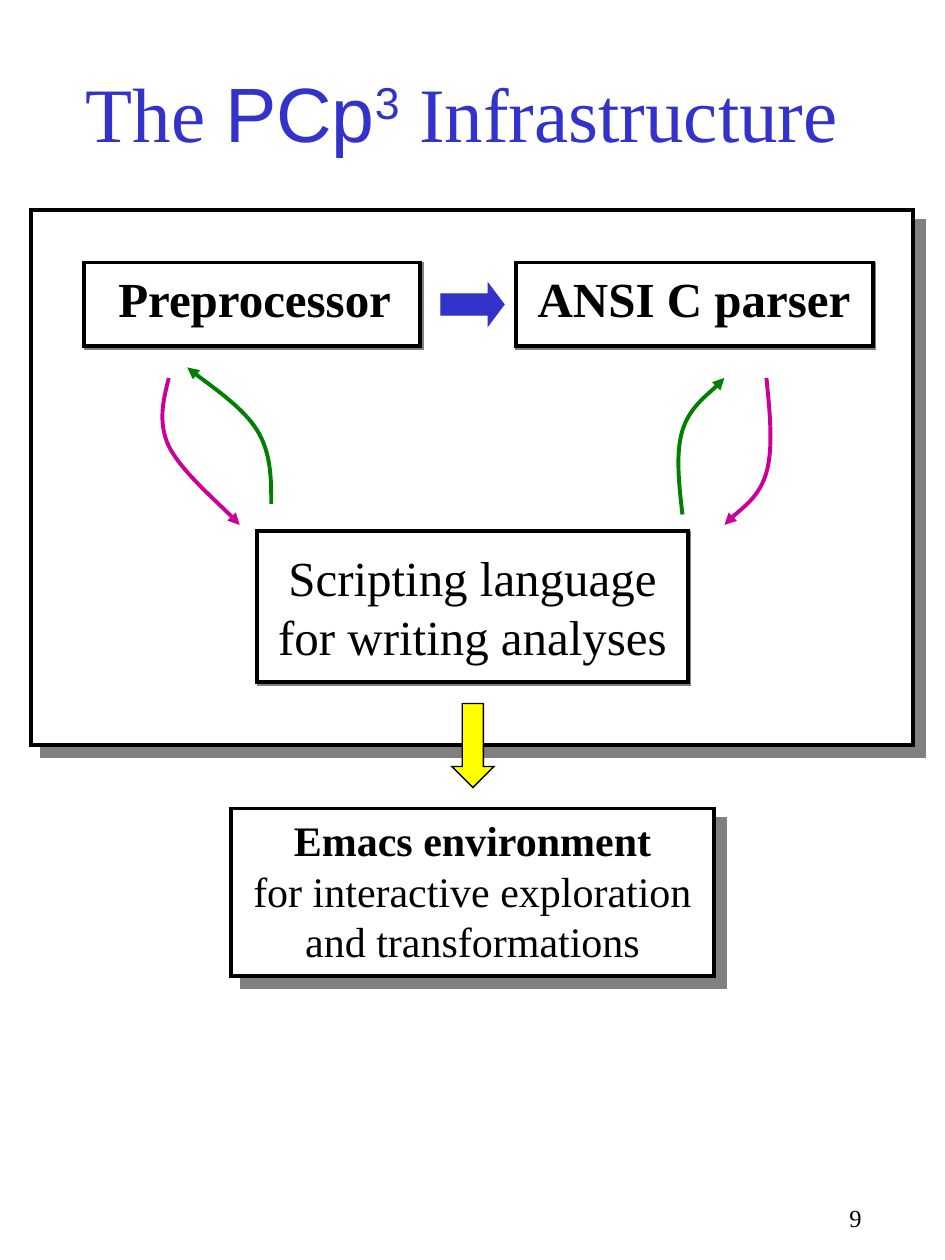
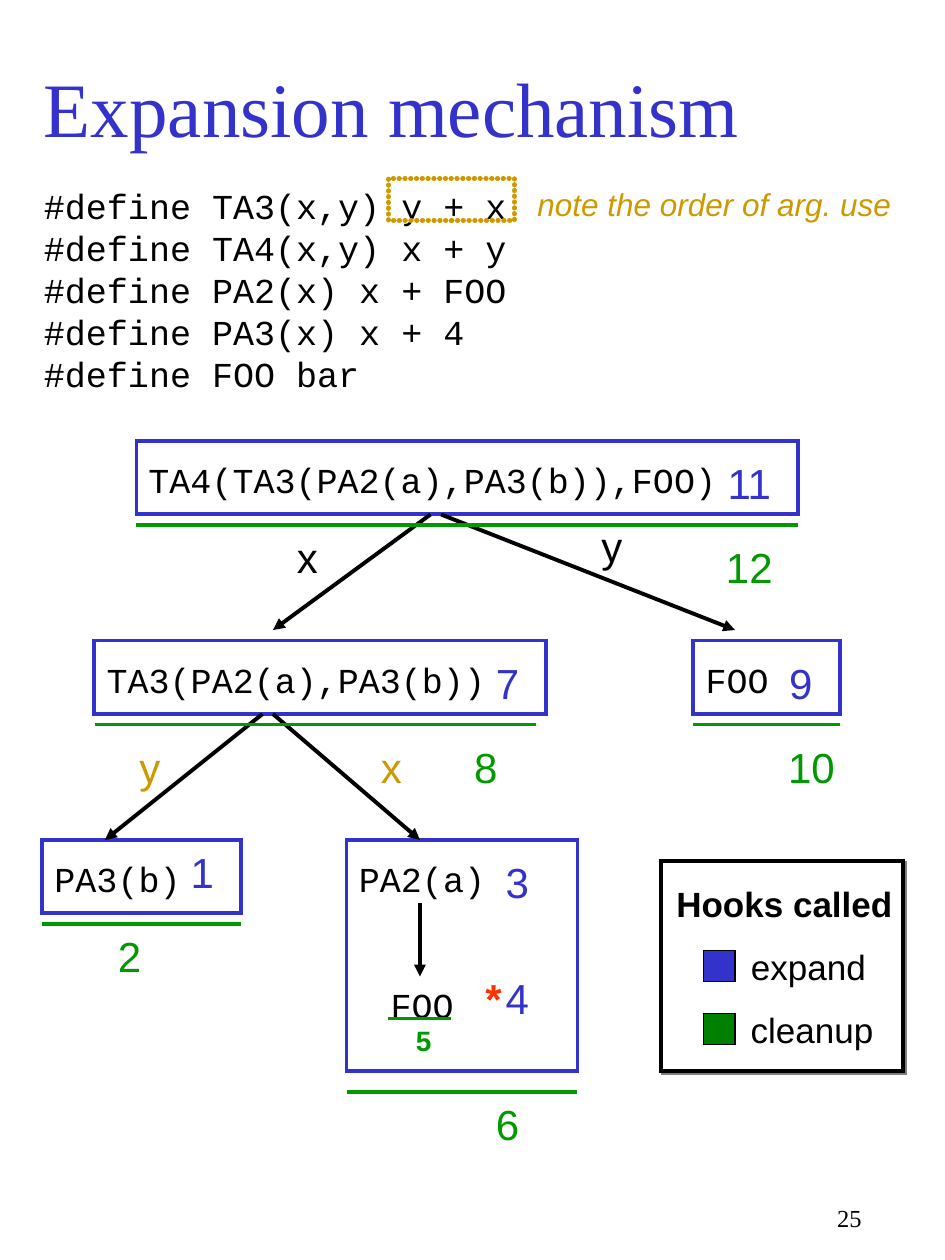
import pptx
import pptx.util
import pptx.dml.color
import pptx.enum.shapes
import pptx.enum.text
import pptx.oxml.ns
from lxml import etree

Pt = pptx.util.Pt
RGB = pptx.dml.color.RGBColor.from_string
qn = pptx.oxml.ns.qn
SHAPE = pptx.enum.shapes.MSO_SHAPE
ALIGN = pptx.enum.text.PP_ALIGN
ANCHOR = pptx.enum.text.MSO_ANCHOR


class Theme:
    white, black, shadow = "FFFFFF", "000000", "808080"
    blue, green, dark_green = "3333CC", "009900", "008000"
    gold, magenta, yellow, red = "CC9900", "CC0099", "FFFF00", "FF3300"
    serif, sans, mono = "Times New Roman", "Arial", "Courier New"
    title, heading, label, code, note, small, number = 44, 28, 24, 20, 18, 16, 14
    thin, outline, dotted = 0.75, 2.25, 3
    near_shadow, far_shadow = 1.4, 8.5


def add_box(s, box, fill=Theme.white, line=Theme.black, width=Theme.outline,
            shadow=0, shape=SHAPE.RECTANGLE):
    """Add a preset shape; shadow is its distance down and to the right."""
    sp = s.shapes.add_shape(shape, *map(Pt, box))
    if fill:
        sp.fill.solid()
        sp.fill.fore_color.rgb = RGB(fill)
    else:
        sp.fill.background()
    sp.line.color.rgb = RGB(line)
    sp.line.width = Pt(width)
    etree.SubElement(sp._element.spPr.find(qn("a:ln")), qn("a:miter"), lim="800000")
    sp.shadow.inherit = False
    if shadow:
        effects = sp._element.spPr.find(qn("a:effectLst"))
        outer = etree.SubElement(effects, qn("a:outerShdw"), dist=str(Pt(shadow)),
                                 dir="2700000", algn="ctr", rotWithShape="0")
        etree.SubElement(outer, qn("a:srgbClr"), val=Theme.shadow)
    return sp


def add_text(s, box, paragraphs, size, name, color=Theme.black, align=ALIGN.CENTER,
             wrap=False, anchor=ANCHOR.MIDDLE, **style):
    """Add a text box; each paragraph is a list of (text, font overrides) runs."""
    tf = s.shapes.add_textbox(*map(Pt, box)).text_frame
    tf.word_wrap = wrap
    tf.vertical_anchor = anchor
    if not wrap:
        tf.auto_size = pptx.enum.text.MSO_AUTO_SIZE.SHAPE_TO_FIT_TEXT
        if align == ALIGN.CENTER:
            # Spare room on both sides keeps a label on one line
            tf.margin_left = tf.margin_right = Pt(2)
    for i, runs in enumerate(paragraphs):
        p = tf.paragraphs[0] if i == 0 else tf.add_paragraph()
        p.alignment = align
        for text, overrides in runs:
            r = p.add_run()
            r.text = text
            r.font.size = Pt(size)
            r.font.color.rgb = RGB(color)
            for key, value in {"name": name, **style, **overrides}.items():
                setattr(r.font, key, value)
    return tf


prs = pptx.Presentation()
prs.slide_width, prs.slide_height = Pt(540), Pt(720)

# Titles and page numbers
sans = {"name": Theme.sans}
slides, titles = [], []
for box, runs, number in [
    ((42, 36, 459, 56),
     [("The ", {}), ("PCp", sans), ("3", sans), (" Infrastructure", {})], "9"),
    ((18, 30, 459, 62), [("Expansion mechanism", {})], "25"),
]:
    s = prs.slides.add_slide(prs.slide_layouts[6])
    titles.append(add_text(s, box, [runs], Theme.title, Theme.serif, Theme.blue,
                           ALIGN.LEFT, wrap=True))
    add_text(s, (387.5, 684, 112, 20), [[(number, {})]], Theme.number, Theme.serif,
             align=ALIGN.RIGHT, wrap=True, anchor=ANCHOR.TOP)
    slides.append(s)
titles[0].paragraphs[0].runs[2]._r.get_or_add_rPr().set("baseline", "30000")
infrastructure, expansion = slides

# Infrastructure: components
s = infrastructure
for box, shadow in [
    ((18, 120, 504, 306), Theme.far_shadow),
    ((132.2, 462, 276, 96), Theme.far_shadow),
    ((48, 150, 192, 48), Theme.near_shadow),
    ((294.7, 150, 204, 48), Theme.near_shadow),
    ((147, 303.6, 246, 86.4), Theme.near_shadow),
]:
    add_box(s, box, shadow=shadow)

bold = {"bold": True}
for box, paragraphs, size, wrap in [
    ((60, 150, 171, 41), [[("Preprocessor", bold)]], Theme.heading, False),
    ((300, 150, 193, 41), [[("ANSI C parser", bold)]], Theme.heading, False),
    ((147.5, 309, 245, 75), [[("Scripting language for writing analyses", {})]],
     Theme.heading, True),
    ((137.5, 462, 265, 93.5),
     [[("Emacs environment", bold)], [("for interactive exploration", {})],
      [("and transformations", {})]], Theme.label, False),
]:
    add_text(s, box, paragraphs, size, Theme.serif, wrap=wrap)

# Infrastructure: flow between components
to_parser = add_box(s, (252, 162, 36, 24), Theme.blue, Theme.blue, Theme.thin,
                    shape=SHAPE.RIGHT_ARROW)
to_parser.adjustments[1] = 0.375
add_box(s, (258.2, 402, 24, 48), Theme.yellow, width=Theme.thin, shape=SHAPE.DOWN_ARROW)

arrows = []
for color, points in [
    (Theme.magenta, [(96.5, 216), (93.5, 228), (90, 241), (96.5, 255),
                     (103.5, 269), (130, 292), (137, 300)]),
    (Theme.dark_green, [(155, 288), (155, 274), (155, 259), (147, 246),
                        (139, 233), (114, 216), (107, 210)]),
    (Theme.dark_green, [(390, 294), (388, 276.5), (386, 259), (390, 246),
                        (394, 233), (410, 221), (414, 216)]),
    (Theme.magenta, [(438, 216), (440, 236), (442, 256), (438, 270),
                     (434, 284), (418, 295), (414, 300)]),
]:
    start, *rest = [(Pt(x), Pt(y)) for x, y in points]
    builder = s.shapes.build_freeform(*start)
    builder.add_line_segments(rest, close=False)
    sp = builder.convert_to_shape()
    # Each three segments become one Bézier curve
    segments = list(sp._element.iter(qn("a:lnTo")))
    outline = segments[0].getparent()
    for i in range(0, len(segments), 3):
        curve = etree.SubElement(outline, qn("a:cubicBezTo"))
        for segment in segments[i:i + 3]:
            curve.append(segment[0])
            outline.remove(segment)
    sp.fill.background()
    sp.line.color.rgb = RGB(color)
    sp.line.width = Pt(Theme.outline)
    sp.shadow.inherit = False
    arrows.append(sp)

# Expansion: macro definitions
s = expansion
definitions = ["#define TA3(x,y) y + x", "#define TA4(x,y) x + y",
               "#define PA2(x) x + FOO", "#define PA3(x) x + 4", "#define FOO bar"]
add_text(s, (18, 102, 279, 127), [[(line, {})] for line in definitions],
         Theme.code, Theme.mono, align=ALIGN.LEFT)
dotted = add_box(s, (222, 102, 72, 24), None, Theme.gold, Theme.dotted)
border = dotted._element.spPr.find(qn("a:ln"))
border.set("cap", "rnd")
dash = etree.Element(qn("a:custDash"))
etree.SubElement(dash, qn("a:ds"), d="100000", sp="10000")
border.insert(1, dash)
add_text(s, (300, 102, 217, 29), [[("note the order of arg. use", {})]],
         Theme.note, Theme.sans, Theme.gold, ALIGN.LEFT, italic=True)

# Expansion: call tree
nodes = [
    ("TA3(PA2(a),PA3(b))", 54, 366, 258, 42),
    ("FOO", 396, 366, 84, 42),
    ("PA3(b)", 24, 480, 114, 42),
    ("PA2(a)", 198, 480, 132, 132),
    ("TA4(TA3(PA2(a),PA3(b)),FOO)", 78, 252, 378, 42),
]
for _, *box in nodes:
    add_box(s, box, line=Theme.blue)
codes = [(code, x, y + 6) for code, x, y, _, _ in nodes] + [("FOO", 216, 558)]
for code, x, y in codes:
    add_text(s, (x, y, 14.4 + 12 * len(code), 32), [[(code, {})]], Theme.code, Theme.mono)

calls = [(246, 294, 156, 360), (252, 294, 420, 360), (150, 408, 60, 480),
         (156, 408, 240, 480), (240, 516, 240, 558)]
underlines = [(78, 300, 456, 300), (54, 414, 306, 414), (396, 414, 480, 414),
              (24, 528, 138, 528), (198, 624, 330, 624), (222, 582, 258, 582)]
for ends in calls + underlines:
    line = s.shapes.add_connector(pptx.enum.shapes.MSO_CONNECTOR.STRAIGHT, *map(Pt, ends))
    line.line.color.rgb = RGB(Theme.black if ends in calls else Theme.green)
    line.line.width = Pt(Theme.outline)
    etree.SubElement(line._element.spPr, qn("a:effectLst"))
    if ends in calls:
        arrows.append(line)

for arrow in arrows:
    etree.SubElement(arrow._element.spPr.find(qn("a:ln")), qn("a:tailEnd"), type="triangle")

# Expansion: argument names and the order of the hooks
labels = {
    Theme.gold: [("y", 72, 420), ("x", 210, 420)],
    Theme.black: [("x", 162, 300), ("y", 336, 294)],
    Theme.blue: [("1", 102, 480), ("3", 282, 486), ("4", 282, 552), ("7", 276.5, 372),
                 ("9", 444, 372), ("11", 408, 258)],
    Theme.green: [("2", 60.5, 528), ("6", 276.5, 624), ("8", 264, 420),
                  ("10", 443.5, 420), ("12", 408, 306)],
}
for color, items in labels.items():
    for text, x, y in items:
        add_text(s, (x, y, 14 + 13.2 * len(text), 36), [[(text, {})]],
                 Theme.label, Theme.sans, color)
add_text(s, (230.5, 581, 23, 27), [[("5", bold)]], Theme.small, Theme.sans, Theme.green)
add_text(s, (270, 552, 24, 36), [[("*", bold)]], Theme.label, Theme.sans, Theme.red)

# Expansion: legend
add_box(s, (378, 492, 138, 120), shadow=Theme.near_shadow)
add_text(s, (379.5, 500.5, 137.5, 32), [[("Hooks called", bold)]], Theme.code, Theme.sans)
for i, (hook, color, width) in enumerate([("expand", Theme.blue, 80),
                                          ("cleanup", Theme.dark_green, 84)]):
    y = 543 + 36 * i
    add_box(s, (402, y, 18, 18), color, width=Theme.thin)
    add_text(s, (422, y - 6.5, width, 32), [[(hook, {})]], Theme.code, Theme.sans)

prs.save("out.pptx")
